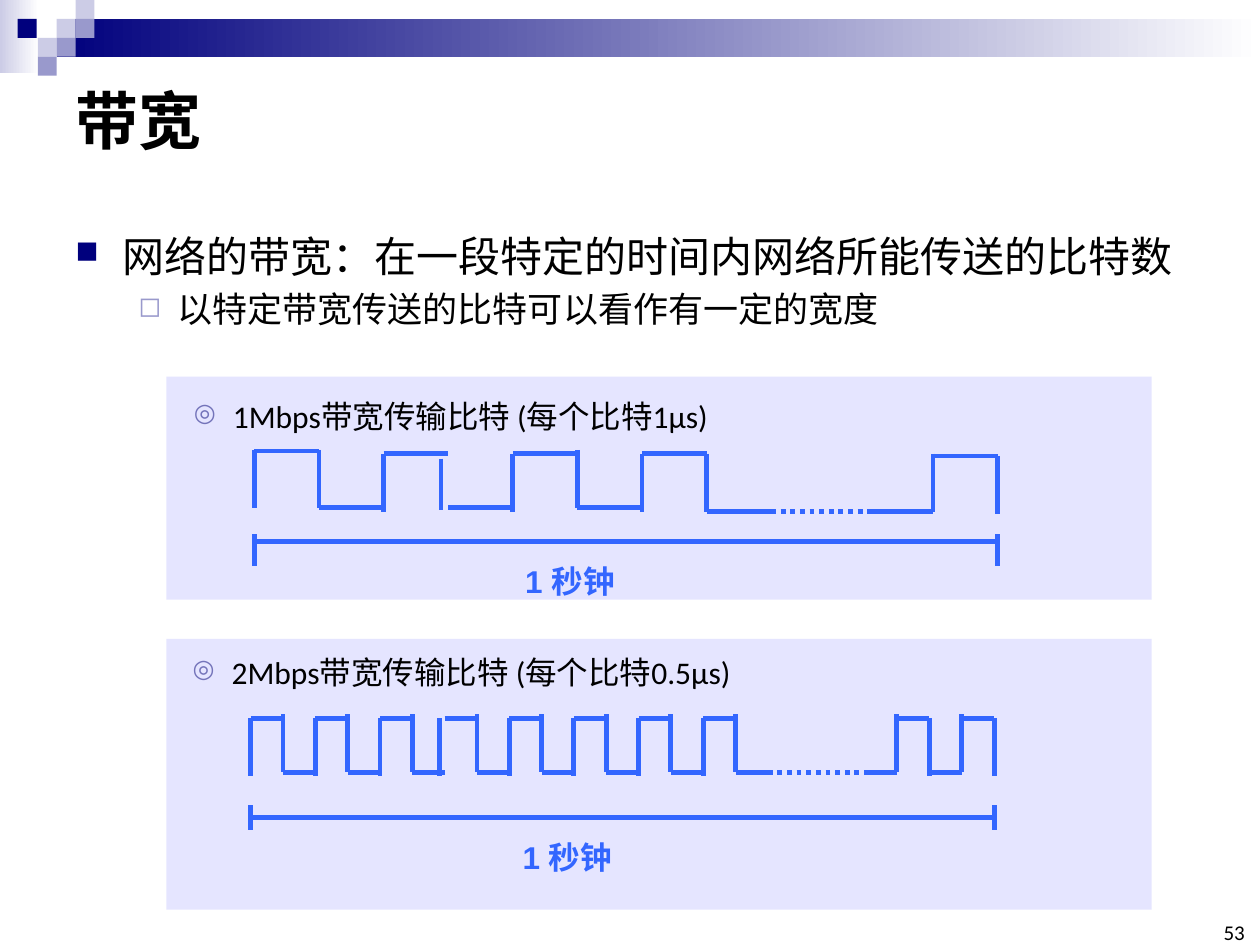
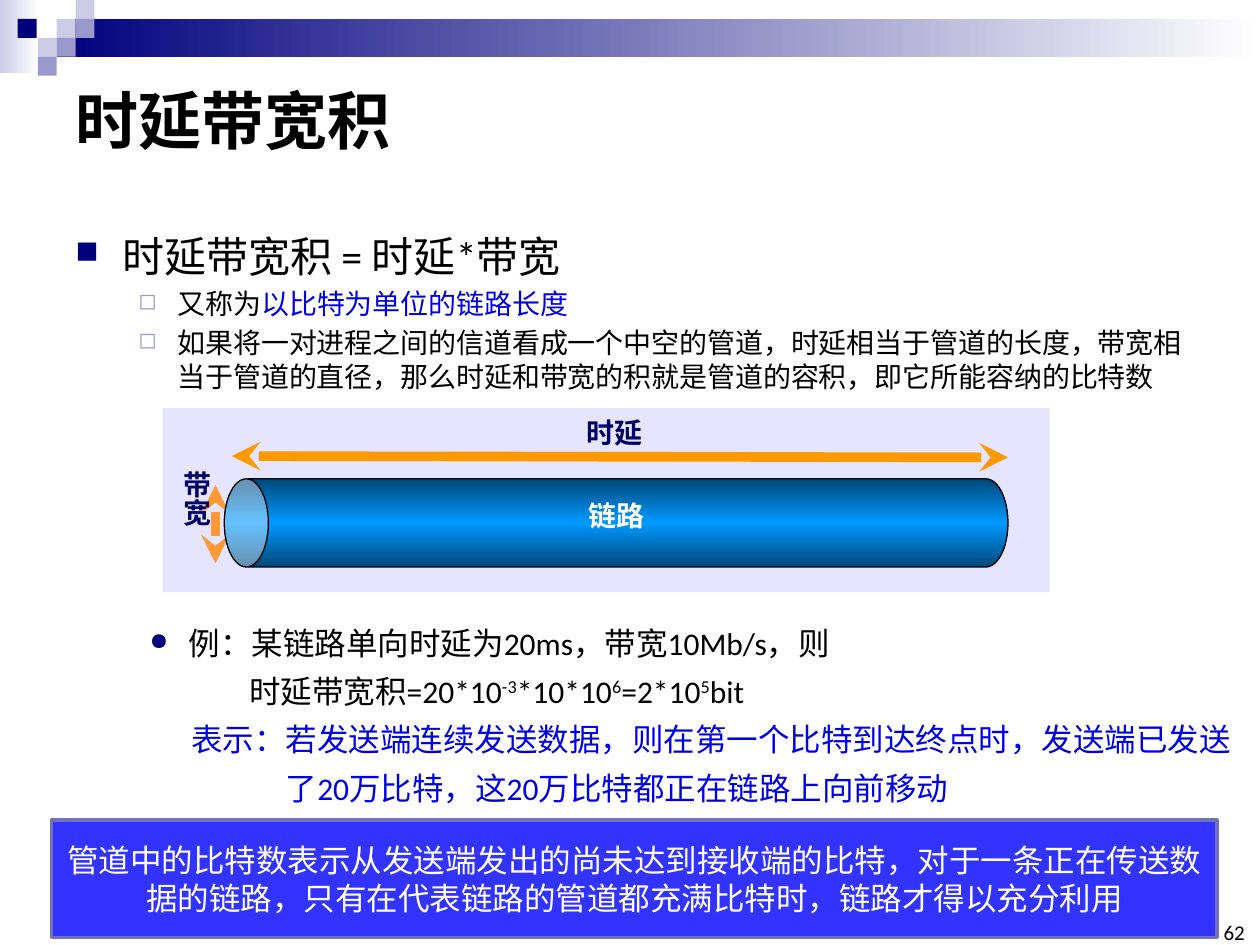
from copy import deepcopy

from lxml import etree
from pptx import Presentation
from pptx.dml.color import RGBColor
from pptx.enum.dml import MSO_LINE
from pptx.enum.shapes import MSO_CONNECTOR, MSO_SHAPE
from pptx.enum.text import MSO_ANCHOR, PP_ALIGN
from pptx.oxml.ns import qn
from pptx.util import Inches, Pt

RECT, CAN = MSO_SHAPE.RECTANGLE, MSO_SHAPE.CAN
STRAIGHT = MSO_CONNECTOR.STRAIGHT
DOTTED = MSO_LINE.ROUND_DOT
LEFT, CENTER, RIGHT = PP_ALIGN.LEFT, PP_ALIGN.CENTER, PP_ALIGN.RIGHT
TOP, MIDDLE, BOTTOM = MSO_ANCHOR.TOP, MSO_ANCHOR.MIDDLE, MSO_ANCHOR.BOTTOM

BLACK = RGBColor(0x00, 0x00, 0x00)
WHITE = RGBColor(0xFF, 0xFF, 0xFF)
NAVY = RGBColor(0x00, 0x00, 0x7D)
LILAC = RGBColor(0x99, 0x99, 0xCC)
PALE_LILAC = RGBColor(0xCC, 0xCC, 0xE6)
PANEL = RGBColor(0xE5, 0xE5, 0xFF)
RING = RGBColor(0x74, 0x74, 0xBA)
SIGNAL = RGBColor(0x33, 0x66, 0xFF)
STRESS = RGBColor(0x00, 0x00, 0xE4)
LABEL = RGBColor(0x00, 0x00, 0x66)
ORANGE = RGBColor(0xFF, 0x99, 0x00)
LIGHT_ORANGE = RGBColor(0xFF, 0x99, 0x33)
PIPE_EDGE = RGBColor(0x00, 0x47, 0x78)
PIPE_CORE = RGBColor(0x00, 0x99, 0xFF)
NOTE_FILL = RGBColor(0x33, 0x33, 0xFF)
NOTE_LINE = RGBColor(0x71, 0x71, 0xBD)

CJK, LATIN = "Noto Sans CJK SC", "Calibri"

# ---- Shared header: place and colours ----
HEADER_BANDS = [
    ((0, 0, 0.31, 0.58), (PALE_LILAC, WHITE)),
    ((0.45, 0.15, 9.55, 0.3), (NAVY, WHITE)),
]
HEADER_SQUARES = [
    (0.45, 0.15, PALE_LILAC), (0.6, 0, PALE_LILAC), (0.6, 0.15, LILAC),
    (0.3, 0.3, PALE_LILAC), (0.14, 0.15, NAVY), (0.45, 0.3, LILAC),
    (0.3, 0.45, LILAC),
]

# ---- Bullets: character, colour, size in percent ----
SQUARE_BULLET = ("■", NAVY, 75)
HOLLOW_BULLET = ("◻", LILAC, 80)
RING_BULLET = ("◎", RING, 80)
DOT_BULLET = ("●", NAVY, 75)


def topic(text):
    return dict(runs=[(text,)], size=24, left=0.37, first=-0.37,
                spacing=1.5, bullet=SQUARE_BULLET)


def subtopic(runs, size):
    return dict(runs=runs, size=size, left=0.81, first=-0.31,
                bullet=HOLLOW_BULLET)


# ---- Bandwidth slide ----
BANDWIDTH_POINTS = [
    topic("网络的带宽：在一段特定的时间内网络所能传送的比特数"),
    subtopic([("以特定带宽传送的比特可以看作有一定的宽度",)], 20),
]
RISE, FALL = (5.7, 6.16), (5.67, 6.13)
SIGNALS = [
    dict(panel=(1.32, 2.99, 7.82, 1.77),
         caption="1Mbps带宽传输比特 (每个比特1μs)", caption_at=(1.44, 3.1),
         left=2.02, right=7.92, bit=0.5125,
         levels=[3.58, 4.03, 3.6, 4.03, 3.6, 4.03, 3.6, 4.06],
         edges=[(3.57, 4.03), (3.57, 4.03), (3.6, 4.06), (3.64, 4.05),
                (3.6, 4.06), (3.57, 4.03), (3.6, 4.06), (3.6, 4.06)],
         shifted_edge=(3, 3.5), resume=6.89,
         end_levels=[4.06, 3.62], end_edges=[(3.6, 4.06), (3.62, 4.08)],
         ruler=(4.24, 4.3, 4.49), duration_at=(4.07, 4.41)),
    dict(panel=(1.32, 5.07, 7.82, 2.15),
         caption="2Mbps带宽传输比特 (每个比特0.5μs)", caption_at=(1.43, 5.13),
         left=1.99, right=7.89, bit=0.2565,
         levels=[5.7, 6.13] * 8, edges=[RISE, FALL] * 8,
         shifted_edge=(6, 3.49), resume=6.86,
         end_levels=[6.13, 5.7] * 2, end_edges=[FALL, RISE] * 2,
         ruler=(6.39, 6.49, 6.59), duration_at=(4.05, 6.6)),
]

# ---- Delay-bandwidth product slide ----
PRODUCT_POINTS = [
    topic("时延带宽积 = 时延*带宽"),
    subtopic([("又称为",), ("以比特为单位的链路长度", STRESS)], 16),
    subtopic([("如果将一对进程之间的信道看成一个中空的管道，时延相当于管道的长度，"
               "带宽相当于管道的直径，那么时延和带宽的积就是管道的容积，"
               "即它所能容纳的比特数",)], 16),
]
EXAMPLE = [
    dict(runs=[("例：某链路单向时延为20ms，带宽10Mb/s，则",)],
         left=0.37, first=-0.31, bullet=DOT_BULLET),
    dict(runs=[("时延带宽积=20*10",), ("-3", BLACK, True), ("*10*10",),
               ("6", BLACK, True), ("=2*10",), ("5", BLACK, True), ("bit",)],
         left=0.85),
    dict(runs=[("表示：若发送端连续发送数据，则在第一个比特到达终点时，发送端已发送",
                STRESS)], left=0.39),
    dict(runs=[("了20万比特，这20万比特都正在链路上向前移动", STRESS)], left=1.14),
]
ARROWS = [
    ((1.84, 3.62), (8, 3.63), ORANGE),
    ((1.71, 3.85), (1.71, 4.47), LIGHT_ORANGE),
]
CONCLUSION = ("管道中的比特数表示从发送端发出的尚未达到接收端的比特，"
              "对于一条正在传送数据的链路，"
              "只有在代表链路的管道都充满比特时，链路才得以充分利用")


# ---- Text helpers ----
def style_span(span, size, colour=BLACK, font=LATIN, bold=False):
    span.font.size, span.font.bold, span.font.name = Pt(size), bold, font
    span.font.color.rgb = colour
    east_asian = etree.SubElement(span._r.get_or_add_rPr(), qn("a:ea"))
    east_asian.set("typeface", CJK)


def style_frame(frame, anchor=TOP, inset=None):
    frame.word_wrap = True
    frame.vertical_anchor = anchor
    if inset is not None:
        frame.margin_left = frame.margin_right = Inches(inset)
        frame.margin_top = frame.margin_bottom = Inches(inset)


def write_line(frame, text, size, colour=BLACK, font=LATIN, bold=False, align=LEFT):
    frame.text = text
    para = frame.paragraphs[0]
    para.alignment = align
    style_span(para.runs[0], size, colour, font, bold)


def add_label(page, place, text, size, anchor=TOP, inset=None, **style):
    box = page.shapes.add_textbox(*map(Inches, place))
    style_frame(box.text_frame, anchor, inset)
    write_line(box.text_frame, text, size, **style)
    return box


def set_bullet(para, bullet):
    character, colour, percent = bullet
    properties = para._p.get_or_add_pPr()
    tint = etree.SubElement(properties, qn("a:buClr"))
    etree.SubElement(tint, qn("a:srgbClr")).set("val", str(colour))
    etree.SubElement(properties, qn("a:buSzPct")).set("val", str(percent * 1000))
    etree.SubElement(properties, qn("a:buChar")).set("char", character)


def add_paragraphs(page, place, items):
    box = page.shapes.add_textbox(*map(Inches, place))
    frame = box.text_frame
    style_frame(frame)
    for index, item in enumerate(items):
        para = frame.add_paragraph() if index else frame.paragraphs[0]
        size = item.get("size", 18)
        para.line_spacing = item.get("spacing", 1.0)
        para.space_before = Pt(size * 0.2 if "size" in item else 6)
        properties = para._p.get_or_add_pPr()
        properties.set("marL", str(Inches(item["left"])))
        properties.set("indent", str(Inches(item.get("first", 0))))
        if "bullet" in item:
            set_bullet(para, item["bullet"])
        for text, *look in item["runs"]:
            span = para.add_run()
            span.text = text
            style_span(span, size, look[0] if look else BLACK)
            if len(look) > 1:
                span._r.get_or_add_rPr().set("baseline", "30000")


# ---- Shape helpers ----
def add_block(page, place, colours, kind=RECT, outline=None, width=1):
    block = page.shapes.add_shape(kind, *map(Inches, place))
    block.shadow.inherit = False
    if len(colours) == 1:
        block.fill.solid()
        block.fill.fore_color.rgb = colours[0]
    else:
        block.fill.gradient()
        block.fill.gradient_angle = 0
        stops = block.element.find(".//" + qn("a:gsLst"))
        if len(colours) == 3:
            middle = deepcopy(stops[0])
            middle.set("pos", "50000")
            stops.insert(1, middle)
        for stop, colour in zip(block.fill.gradient_stops, colours):
            stop.color.rgb = colour
    if outline is None:
        block.line.fill.background()
    else:
        block.line.color.rgb = outline
        block.line.width = Pt(width)
    return block


def add_stroke(page, start, end, colour=SIGNAL, width=2.75):
    stroke = page.shapes.add_connector(STRAIGHT, *map(Inches, (*start, *end)))
    stroke.line.color.rgb = colour
    stroke.line.width = Pt(width)
    etree.SubElement(stroke.element.spPr, qn("a:effectLst"))
    return stroke


def add_arrow(page, start, end, colour):
    arrow = add_stroke(page, start, end, colour, 5.5)
    outline = arrow.element.spPr.find(qn("a:ln"))
    for tip in ("a:headEnd", "a:tailEnd"):
        etree.SubElement(outline, qn(tip)).set("type", "stealth")


# ---- Slide parts ----
def add_page(deck, title, number):
    page = deck.slides.add_slide(deck.slide_layouts[5])
    for place, colours in HEADER_BANDS:
        add_block(page, place, colours)
    for left, top, colour in HEADER_SQUARES:
        add_block(page, (left, top, 0.15, 0.15), [colour])
    heading = page.shapes.title
    heading.left, heading.top = Inches(0.5), Inches(0.5)
    heading.width, heading.height = Inches(9), Inches(0.89)
    style_frame(heading.text_frame, MIDDLE)
    write_line(heading.text_frame, title, 36, font=CJK, bold=True)
    add_label(page, (9.65, 7.33, 0.23, 0.17), number, 12,
              anchor=BOTTOM, inset=0, align=RIGHT)
    return page


def draw_signal(page, signal):
    add_block(page, signal["panel"], [PANEL])
    left, right, bit = signal["left"], signal["right"], signal["bit"]
    resume, levels, end_levels = signal["resume"], signal["levels"], signal["end_levels"]

    # Leading bits: each has an edge, then a level
    shifted, shifted_x = signal["shifted_edge"]
    for index, (level, (high, low)) in enumerate(zip(levels, signal["edges"])):
        x = left + index * bit
        edge_x = shifted_x if index == shifted else x
        add_stroke(page, (edge_x, high), (edge_x, low))
        add_stroke(page, (x, level), (x + bit, level))

    # Dotted gap, then closing bits: each has a level, then an edge
    pause = left + len(levels) * bit
    add_stroke(page, (pause, levels[-1]), (resume, levels[-1])).line.dash_style = DOTTED
    end_bit = (right - resume) / len(end_levels)
    for index, (level, (high, low)) in enumerate(zip(end_levels, signal["end_edges"])):
        x = resume + index * end_bit
        add_stroke(page, (x, level), (x + end_bit, level))
        add_stroke(page, (x + end_bit, high), (x + end_bit, low))

    # Ruler of one second and the texts
    top, middle, bottom = signal["ruler"]
    for x in (left, right):
        add_stroke(page, (x, top), (x, bottom))
    add_stroke(page, (left, middle), (right, middle))
    add_label(page, (*signal["duration_at"], 1.28, 0.42), "1 秒钟", 18,
              colour=SIGNAL, font="Arial", bold=True)
    add_paragraphs(page, (*signal["caption_at"], 6.54, 0.4),
                   [dict(runs=[(signal["caption"],)], size=18, left=0.31,
                         first=-0.31, bullet=RING_BULLET)])


def draw_pipe(page):
    add_block(page, (1.29, 3.24, 7.04, 1.46), [PANEL])
    for start, end, colour in ARROWS:
        add_arrow(page, start, end, colour)
    heading = dict(size=16, bold=True, align=CENTER)
    add_label(page, (4.24, 3.3, 1.27, 0.43), "时延", inset=0,
              colour=LABEL, font=CJK, **heading)
    upright = add_label(page, (1.3, 3.74, 0.39, 0.85), "带宽", inset=0,
                        colour=LABEL, font=CJK, **heading)
    upright.element.txBody.bodyPr.set("vert", "eaVert")
    pipe = add_block(page, (4.54, 1.04, 0.7, 6.22),
                     (PIPE_EDGE, PIPE_CORE, PIPE_EDGE), CAN, BLACK, 0.75)
    pipe.adjustments[0] = 0.5
    pipe.rotation = 270
    add_label(page, (4.28, 3.91, 1.23, 0.38), "链路",
              colour=WHITE, font="Cabin", **heading)


def main():
    deck = Presentation()
    deck.slide_width, deck.slide_height = Inches(10), Inches(7.5)

    page = add_page(deck, "带宽", "53")
    add_paragraphs(page, (0.5, 1.58, 9.15, 1.4), BANDWIDTH_POINTS)
    for signal in SIGNALS:
        draw_signal(page, signal)

    page = add_page(deck, "时延带宽积", "62")
    add_paragraphs(page, (0.5, 1.58, 9.15, 1.91), PRODUCT_POINTS)
    draw_pipe(page)
    add_paragraphs(page, (1.03, 4.9, 8.87, 1.85), EXAMPLE)
    note = add_block(page, (0.41, 6.51, 9.25, 0.93), [NOTE_FILL],
                     outline=NOTE_LINE, width=2)
    style_frame(note.text_frame, MIDDLE)
    write_line(note.text_frame, CONCLUSION, 18, WHITE, CJK, align=CENTER)

    deck.save("out.pptx")


if __name__ == "__main__":
    main()
